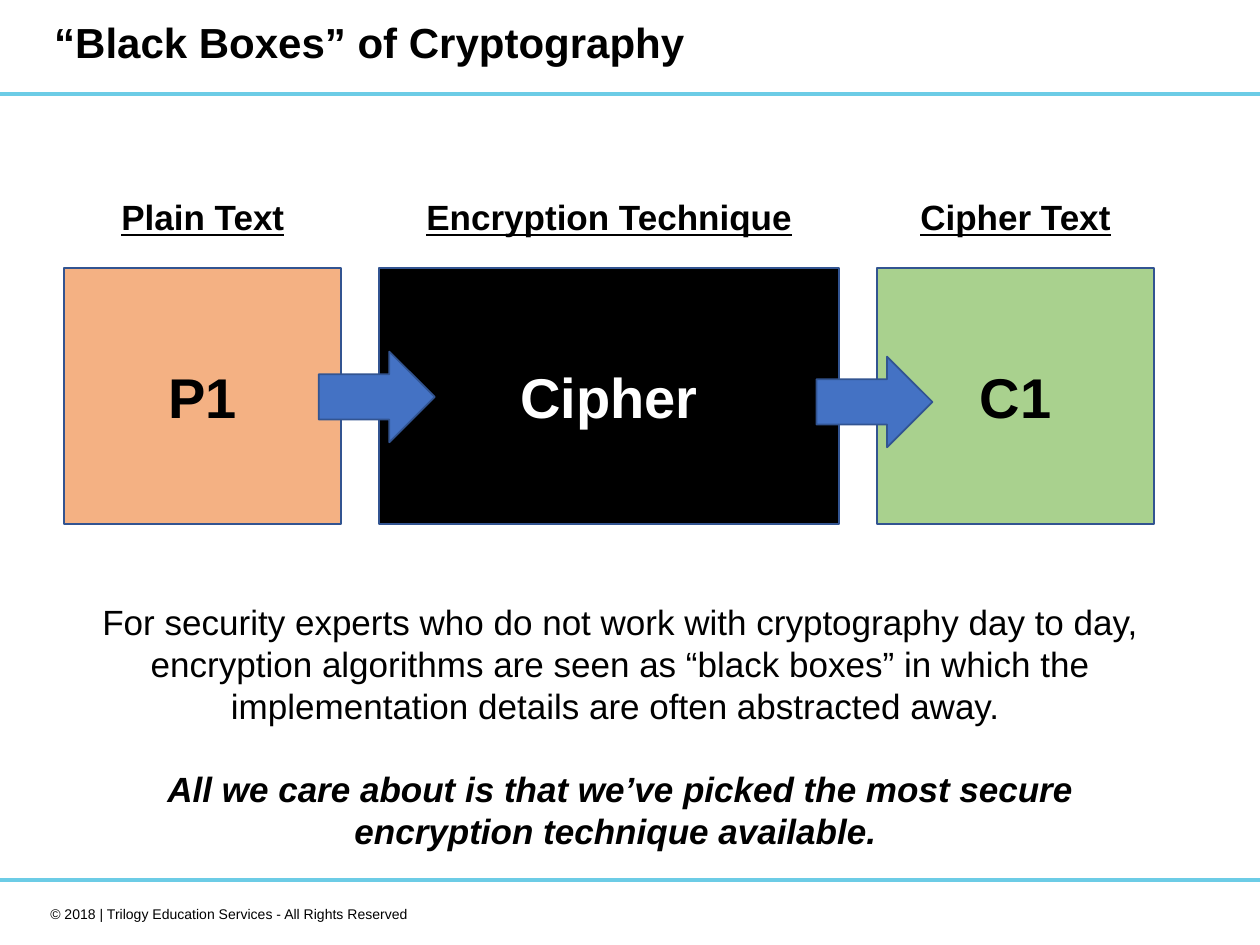
import pptx
import pptx.util
import pptx.dml.color
import pptx.enum.shapes
import pptx.enum.text
from pptx.util import Inches, Pt

Align = pptx.enum.text.PP_ALIGN
Anchor = pptx.enum.text.MSO_ANCHOR
AutoSize = pptx.enum.text.MSO_AUTO_SIZE
Shape = pptx.enum.shapes.MSO_SHAPE


def color(value):
    return pptx.dml.color.RGBColor.from_string(value)


class SlideBuilder:
    """Holds the style and the current slide and adds each kind of element."""

    font = "Arial"
    black = "000000"
    white = "FFFFFF"
    band_fill = "6CCCE6"
    outline = "325491"
    arrow_fill = "4472C4"

    def __init__(self, slide):
        self.slide = slide

    def set_text(self, paragraph, text, size, align=Align.CENTER, ink=black,
                 bold=False, italic=False, underline=False):
        paragraph.text = text
        paragraph.alignment = align
        font = paragraph.font
        font.name = self.font
        font.size = Pt(size)
        font.bold = bold
        font.italic = italic
        font.underline = underline
        font.color.rgb = color(ink)

    def title(self, text, left, top, width, height):
        title = self.slide.shapes.title
        title.left, title.top = Inches(left), Inches(top)
        title.width, title.height = Inches(width), Inches(height)
        frame = title.text_frame
        frame.auto_size = AutoSize.NONE
        frame.vertical_anchor = Anchor.MIDDLE
        self.set_text(frame.paragraphs[0], text, 24, Align.LEFT, bold=True)
        frame.paragraphs[0].line_spacing = 0.9

    def shape(self, kind, left, top, width, height, fill, line=None):
        shape = self.slide.shapes.add_shape(
            kind, Inches(left), Inches(top), Inches(width), Inches(height))
        shape.shadow.inherit = False
        shape.fill.solid()
        shape.fill.fore_color.rgb = color(fill)
        if line:
            shape.line.color.rgb = color(line)
            shape.line.width = Pt(1)
        else:
            shape.line.fill.background()
        return shape

    def band(self, top):
        self.shape(Shape.FLOWCHART_PROCESS, 0, top, 10, 0.03, self.band_fill)

    def stage(self, text, left, top, width, height, fill, ink):
        box = self.shape(Shape.RECTANGLE, left, top, width, height, fill, self.outline)
        box.text_frame.vertical_anchor = Anchor.MIDDLE
        self.set_text(box.text_frame.paragraphs[0], text, 32, ink=ink, bold=True)

    def arrow(self, left, top):
        self.shape(Shape.RIGHT_ARROW, left, top, 0.92, 0.72, self.arrow_fill, self.outline)

    def text_box(self, left, top, width, height, anchor=Anchor.TOP):
        box = self.slide.shapes.add_textbox(
            Inches(left), Inches(top), Inches(width), Inches(height))
        box.text_frame.word_wrap = True
        box.text_frame.vertical_anchor = anchor
        return box.text_frame

    def heading(self, text, left, top, width, height):
        frame = self.text_box(left, top, width, height, Anchor.MIDDLE)
        self.set_text(frame.paragraphs[0], text, 20, bold=True, underline=True)

    def footer(self, text, left, top, width, height):
        frame = self.text_box(left, top, width, height)
        frame.word_wrap = False
        self.set_text(frame.paragraphs[0], text, 8, Align.RIGHT)

    def message(self, statement, conclusion, left, top, width, height):
        frame = self.text_box(left, top, width, height)
        self.set_text(frame.paragraphs[0], statement, 20)
        closing = frame.add_paragraph()
        self.set_text(closing, conclusion, 20, bold=True, italic=True)
        closing.space_before = Pt(23)


def main():
    deck = pptx.Presentation()
    deck.slide_width, deck.slide_height = Inches(10), Inches(7.5)
    page = SlideBuilder(deck.slides.add_slide(deck.slide_layouts[5]))

    for top in (0.73, 6.97):
        page.band(top)
    page.footer("© 2018 | Trilogy Education Services - All Rights Reserved",
                0.17, 7.14, 3.17, 0.24)
    page.title("“Black Boxes” of Cryptography", 0.33, 0, 9.5, 0.72)

    stages = [
        ("Plain Text", "P1", 2.2, "F4B183", page.black),
        ("Encryption Technique", "Cipher", 3.65, "000000", page.white),
        ("Cipher Text", "C1", 2.2, "A9D18E", page.black),
    ]
    left, gap = 0.51, 0.3
    for heading, label, width, fill, ink in stages:
        page.heading(heading, left, 1.17, width, 1.1)
        page.stage(label, left, 2.13, width, 2.03, fill, ink)
        left += width + gap

    for arrow_left, arrow_top in ((2.53, 2.79), (6.48, 2.83)):
        page.arrow(arrow_left, arrow_top)

    page.message(
        "For security experts who do not work with cryptography day to day, "
        "encryption algorithms are seen as “black boxes” in which the "
        "implementation details are often abstracted away. ",
        "All we care about is that we’ve picked the most secure "
        "encryption technique available. ",
        0.51, 4.72, 8.83, 2.12)
    deck.save("out.pptx")


if __name__ == "__main__":
    main()
